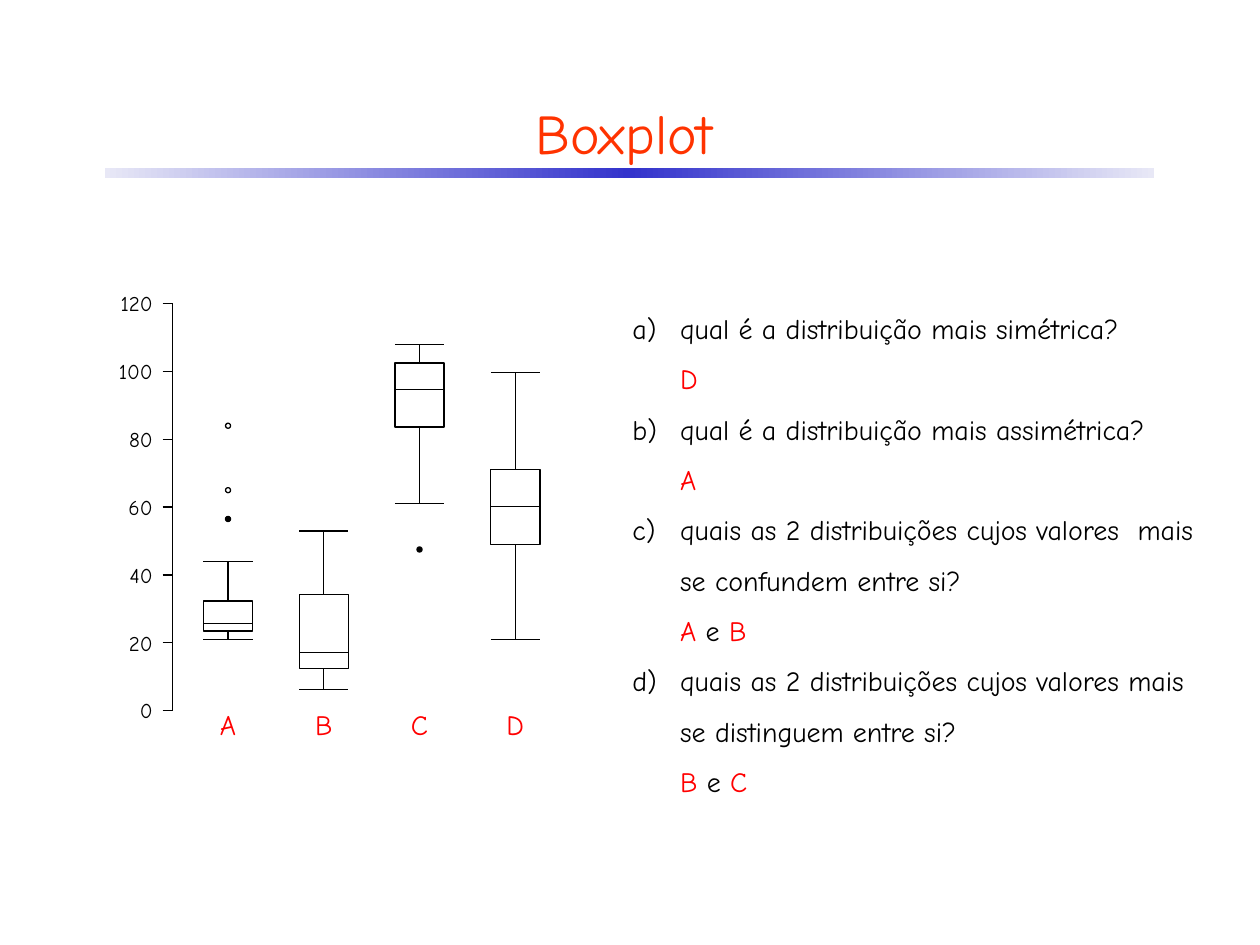
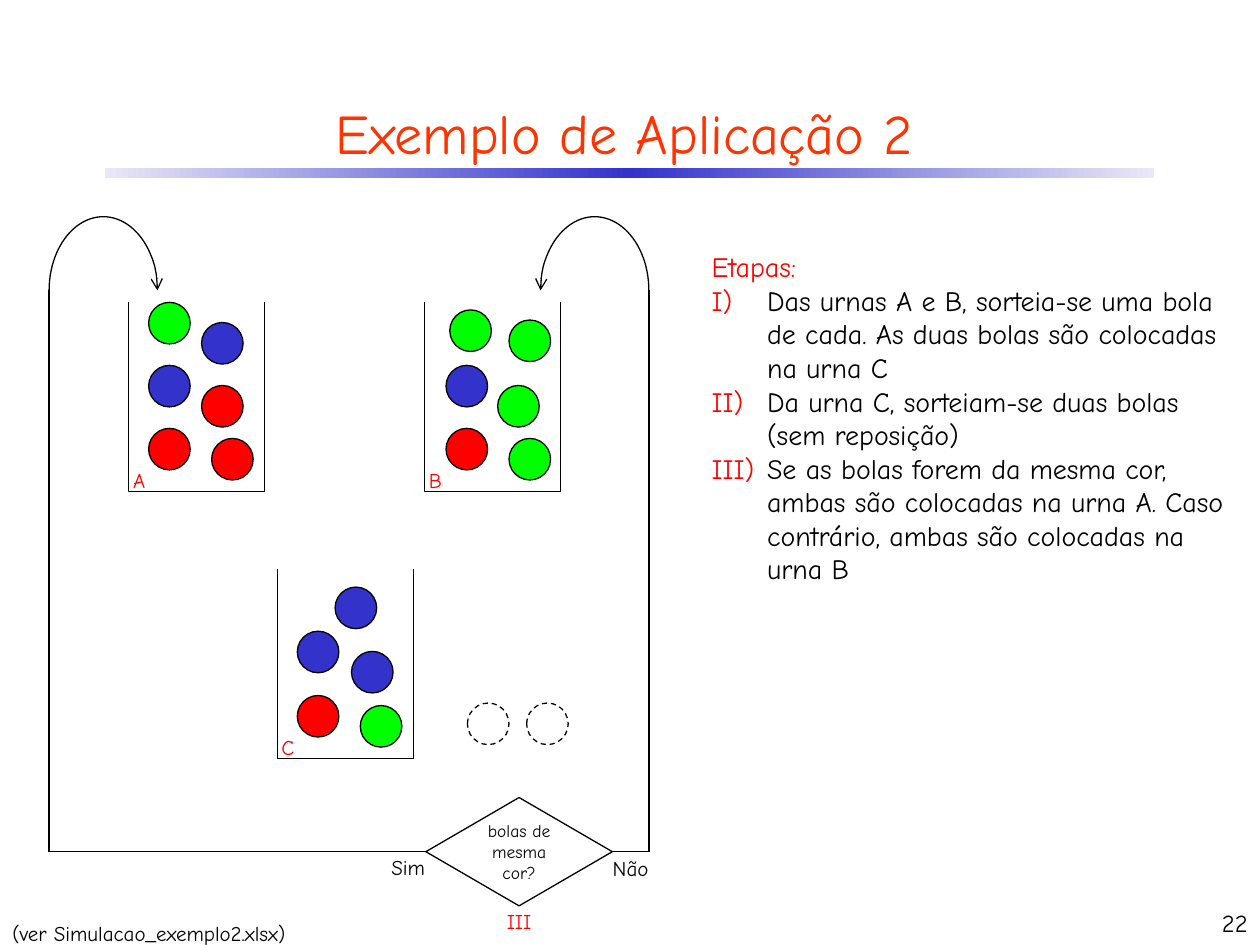
from copy import deepcopy

from lxml.etree import SubElement
from pptx import Presentation
from pptx.dml.color import RGBColor
from pptx.enum.dml import MSO_LINE
from pptx.enum.shapes import MSO_CONNECTOR, MSO_SHAPE
from pptx.enum.text import MSO_ANCHOR, PP_ALIGN
from pptx.oxml.ns import qn
from pptx.util import Inches, Pt

FONT = "Comic Neue"
BLACK = RGBColor(0x00, 0x00, 0x00)
RED = RGBColor(0xFF, 0x00, 0x00)
GREEN = RGBColor(0x00, 0xFF, 0x00)
BLUE = RGBColor(0x33, 0x33, 0xCC)
PALE_BLUE = RGBColor(0xE8, 0xE8, 0xF6)
TITLE_ORANGE = RGBColor(0xFF, 0x33, 0x00)

AXIS_MAX = 120
AXIS_STEP = 20
TICK = 0.08
BOX_WIDTH = 0.39
BOX_PITCH = 0.76
DOT = 0.04
BALL = 0.33
URN_WIDTH, URN_HEIGHT = 1.08, 1.5

DISTRIBUTIONS = [
    ("A", (21, 23.4, 25.6, 32.3, 44), [(56.5, BLACK), (65, None), (84, None)]),
    ("B", (6.3, 12.3, 17.1, 34.2, 53), []),
    ("C", (61, 83.6, 94.7, 102.5, 108), [(47.5, BLACK)]),
    ("D", (21, 49, 60.2, 71, 99.6), []),
]
QUESTIONS = [
    ("qual é a distribuição mais simétrica?", [("D", RED)]),
    ("qual é a distribuição mais assimétrica?", [("A", RED)]),
    ("quais as 2 distribuições cujos valores  mais se confundem entre si?",
     [("A", RED), (" e ", BLACK), ("B", RED)]),
    ("quais as 2 distribuições cujos valores mais se distinguem entre si?",
     [("B", RED), (" e ", BLACK), ("C", RED)]),
]
STEPS = [
    "Das urnas A e B, sorteia-se uma bola de cada. As duas bolas são colocadas na urna C",
    "Da urna C, sorteiam-se duas bolas (sem reposição)",
    "Se as bolas forem da mesma cor, ambas são colocadas na urna A. "
    "Caso contrário, ambas são colocadas na urna B",
]
URNS = [
    ("A", (1.02, 2.4), [(0.16, 0, GREEN), (0.58, 0.16, BLUE), (0.16, 0.5, BLUE),
                        (0.58, 0.66, RED), (0.16, 1, RED), (0.66, 1.08, RED)]),
    ("B", (3.37, 2.4), [(0.17, 0.5, BLUE), (0.58, 0.66, GREEN), (0.17, 1, RED),
                        (0.67, 1.08, GREEN), (0.67, 0.14, GREEN), (0.2, 0.06, GREEN)]),
    ("C", (2.2, 4.52), [(0.46, 0.14, BLUE), (0.16, 0.49, BLUE), (0.59, 0.65, BLUE),
                        (0.16, 1, RED), (0.66, 1.08, GREEN)]),
]


def write(frame, lines, size=12, color=BLACK, align=PP_ALIGN.LEFT,
          anchor=MSO_ANCHOR.TOP, wrap=True, spacing=None):
    frame.word_wrap = wrap
    frame.vertical_anchor = anchor
    for index, line in enumerate(lines):
        paragraph = frame.paragraphs[0] if index == 0 else frame.add_paragraph()
        paragraph.alignment = align
        if spacing:
            paragraph.line_spacing = spacing
        for words, run_color in [(line, color)] if isinstance(line, str) else line:
            run = paragraph.add_run()
            run.text = words
            run.font.name = FONT
            run.font.size = Pt(size)
            run.font.color.rgb = run_color
    return frame.paragraphs


def add_text(slide, box, *lines, **style):
    frame = slide.shapes.add_textbox(*map(Inches, box)).text_frame
    return write(frame, lines, **style)


def add_label(slide, box, label, **style):
    add_text(slide, box, label, wrap=False, **{"align": PP_ALIGN.CENTER, **style})


def indent(paragraph, left, scheme=None, start=1, color=None):
    properties = paragraph._p.get_or_add_pPr()
    properties.set("marL", str(Inches(left)))
    if scheme:
        properties.set("indent", str(-Inches(left)))
        if color:
            bullet_color = SubElement(properties, qn("a:buClr"))
            SubElement(bullet_color, qn("a:srgbClr")).set("val", str(color))
        SubElement(properties, qn("a:buFont")).set("typeface", FONT)
        numbering = SubElement(properties, qn("a:buAutoNum"))
        numbering.set("type", scheme)
        numbering.set("startAt", str(start))


def outline(shape, fill=None):
    shape.shadow.inherit = False
    if fill is None:
        shape.fill.background()
    else:
        shape.fill.solid()
        shape.fill.fore_color.rgb = fill
    shape.line.color.rgb = BLACK
    shape.line.width = Pt(0.75)
    return shape


def add_outlined(slide, preset, box, fill=None):
    return outline(slide.shapes.add_shape(preset, *map(Inches, box)), fill)


def add_line(slide, start, end, source=None, side=0):
    line = slide.shapes.add_connector(MSO_CONNECTOR.STRAIGHT, *map(Inches, (*start, *end)))
    line.line.color.rgb = BLACK
    line.line.width = Pt(0.75)
    SubElement(line._element.spPr, qn("a:effectLst"))
    if source is not None:
        line.begin_connect(source, side)


def add_titled_slide(deck, title):
    slide = deck.slides.add_slide(deck.slide_layouts[6])
    band = slide.shapes.add_shape(MSO_SHAPE.RECTANGLE, *map(Inches, (0.83, 1.33, 8.33, 0.08)))
    band.shadow.inherit = False
    band.line.fill.background()
    band.fill.gradient()
    band.fill.gradient_angle = 0
    first, middle = band.fill.gradient_stops
    first.color.rgb, first.position = PALE_BLUE, 0
    middle.color.rgb, middle.position = BLUE, 0.5
    stops = band._element.spPr.find(qn("a:gradFill")).find(qn("a:gsLst"))
    last = deepcopy(stops[0])
    last.set("pos", "100000")
    stops.append(last)
    add_text(slide, (0.33, 0.67, 9.25, 0.75), title, size=32, color=TITLE_ORANGE,
             align=PP_ALIGN.CENTER, anchor=MSO_ANCHOR.MIDDLE)
    return slide


def add_axis(slide, x, y_of):
    add_line(slide, (x, y_of(AXIS_MAX)), (x, y_of(0)))
    for value in range(0, AXIS_MAX + 1, AXIS_STEP):
        y = y_of(value)
        add_line(slide, (x - TICK, y), (x, y))
        add_label(slide, (x - 0.54, y - 0.15, 0.48, 0.3), str(value), align=PP_ALIGN.RIGHT)


def add_distribution(slide, center, y_of, name, summary, outliers):
    low, q1, median, q3, high = map(y_of, summary)
    left, right = center - BOX_WIDTH / 2, center + BOX_WIDTH / 2
    quartiles = add_outlined(slide, MSO_SHAPE.RECTANGLE, (left, q3, BOX_WIDTH, q1 - q3))
    for y in (low, median, high):
        add_line(slide, (left, y), (right, y))
    add_line(slide, (center, q3), (center, high), quartiles, 0)
    add_line(slide, (center, q1), (center, low), quartiles, 2)
    for value, fill in outliers:
        add_outlined(slide, MSO_SHAPE.OVAL,
                     (center - DOT / 2, y_of(value) - DOT / 2, DOT, DOT), fill)
    add_label(slide, (center - 0.18, y_of(0) - 0.07, 0.36, 0.37), name, size=16, color=RED)


def add_boxplots(slide, left, top, height):
    def y_of(value):
        return top + height * (1 - value / AXIS_MAX)

    add_axis(slide, left, y_of)
    for index, distribution in enumerate(DISTRIBUTIONS):
        add_distribution(slide, left + 0.44 + index * BOX_PITCH, y_of, *distribution)


def add_questions(slide, box):
    lines = [line for pair in QUESTIONS for line in pair]
    paragraphs = add_text(slide, box, *lines, size=16, spacing=1.5)
    for index, paragraph in enumerate(paragraphs):
        is_question = index % 2 == 0
        indent(paragraph, 0.38, "alphaLcParenR" if is_question else None, index // 2 + 1)


def add_urn(slide, name, corner, balls):
    left, top = corner
    right, bottom = left + URN_WIDTH, top + URN_HEIGHT
    wall = slide.shapes.build_freeform(Inches(left), Inches(top))
    wall.add_line_segments([(Inches(x), Inches(y)) for x, y in
                            ((left, bottom), (right, bottom), (right, top))], close=False)
    outline(wall.convert_to_shape())
    for x, y, color in balls:
        add_outlined(slide, MSO_SHAPE.OVAL, (left + x, top + y, BALL, BALL), color)
    add_label(slide, (left - 0.07, bottom - 0.24, 0.31, 0.3), name, color=RED)


def add_return_route(slide, decision, side, corner_x, start_x, arc_left, arrow_end):
    middle_y, arc_top, arc_height = 6.76, 1.72, 1.17
    add_line(slide, (start_x, middle_y), (corner_x, middle_y), decision, side)
    add_line(slide, (corner_x, middle_y), (corner_x, arc_top + arc_height / 2))
    arc = add_outlined(slide, MSO_SHAPE.ARC, (arc_left, arc_top, 0.86, arc_height))
    arc.adjustments[0] = 108
    arc.adjustments[1] = 0
    SubElement(arc.line._get_or_add_ln(), qn(arrow_end)).set("type", "arrow")


def add_decision(slide, left, top, width, height):
    for x in (0.33, 0.8):
        drawn_ball = add_outlined(slide, MSO_SHAPE.OVAL, (left + x, top - 0.75, BALL, BALL))
        drawn_ball.line.dash_style = MSO_LINE.DASH
    decision = add_outlined(slide, MSO_SHAPE.DIAMOND, (left, top, width, height))
    write(decision.text_frame, ["bolas de mesma cor?"], size=10,
          align=PP_ALIGN.CENTER, anchor=MSO_ANCHOR.MIDDLE)
    add_return_route(slide, decision, 1, 0.39, left, 0.39, "a:tailEnd")
    add_return_route(slide, decision, 3, 5.15, left + width, 4.29, "a:headEnd")
    add_label(slide, (left - 0.39, top + 0.4, 0.5, 0.3), "Sim")
    add_label(slide, (left + 1.37, top + 0.41, 0.51, 0.3), "Não")
    add_label(slide, (left + 0.5, top + 0.83, 0.48, 0.3), "III", color=RED)


def add_steps(slide, box):
    heading, *steps = add_text(slide, box, [("Etapas:", RED)], *STEPS, size=16)
    heading.line_spacing = 1.5
    for step in steps:
        indent(step, 0.44, "romanUcParenR", color=RED)


def build_boxplot_slide(deck):
    slide = add_titled_slide(deck, "Boxplot")
    add_boxplots(slide, 1.37, 2.41, 3.23)
    add_questions(slide, (4.92, 2.29, 4.65, 4.14))


def build_urn_slide(deck):
    slide = add_titled_slide(deck, "Exemplo de Aplicação 2")
    for urn in URNS:
        add_urn(slide, *urn)
    add_decision(slide, 3.38, 6.33, 1.48, 0.86)
    add_steps(slide, (5.55, 1.8, 4.3, 2.93))
    add_text(slide, (7.92, 7.14, 2.08, 0.35), "22", size=14,
             align=PP_ALIGN.RIGHT, anchor=MSO_ANCHOR.BOTTOM)
    add_text(slide, (0, 7.16, 2.63, 0.4), "(ver Simulacao_exemplo2.xlsx)", spacing=1.5)


def main():
    deck = Presentation()
    deck.slide_width, deck.slide_height = Inches(10), Inches(7.5)
    build_boxplot_slide(deck)
    build_urn_slide(deck)
    deck.save("out.pptx")


if __name__ == "__main__":
    main()
